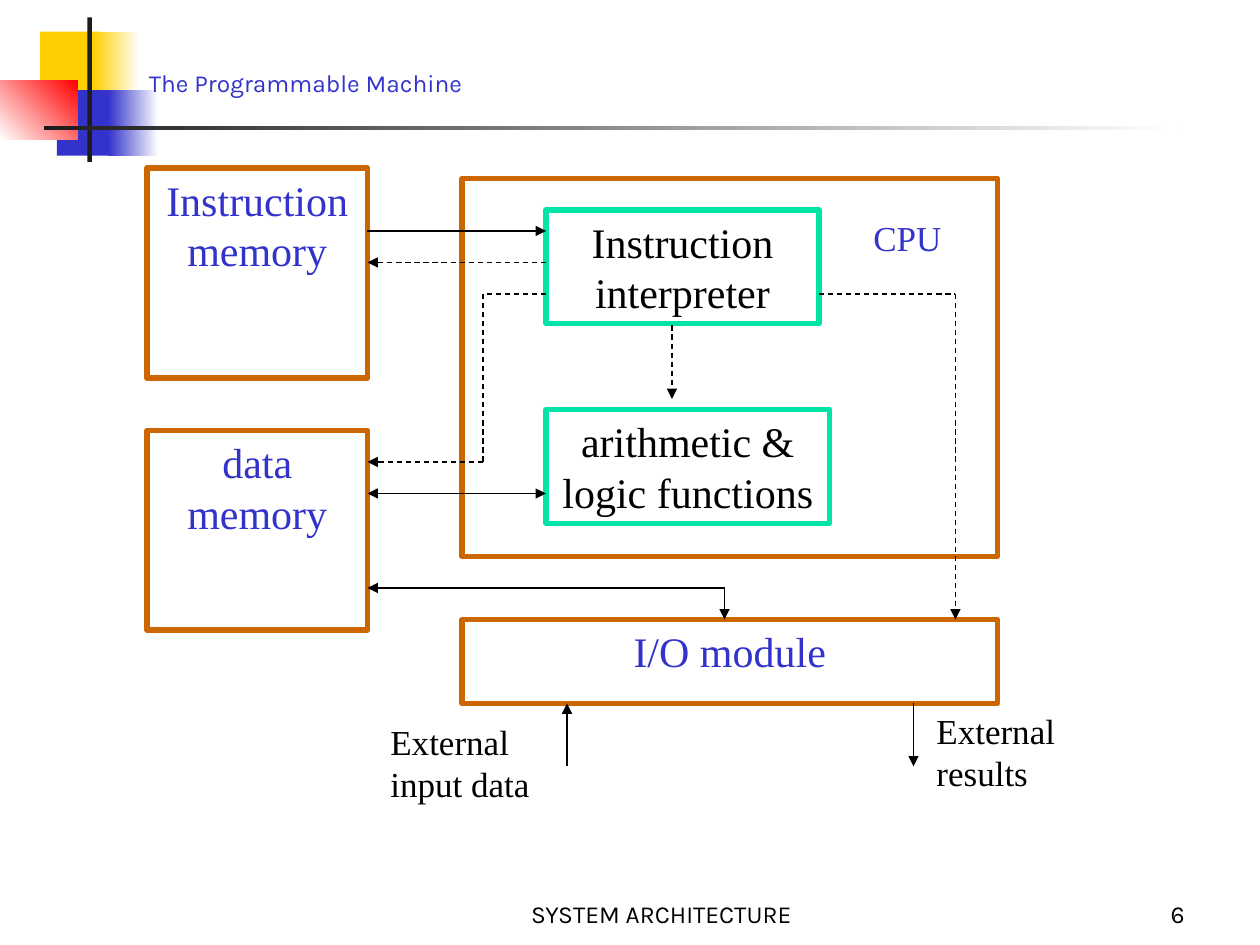
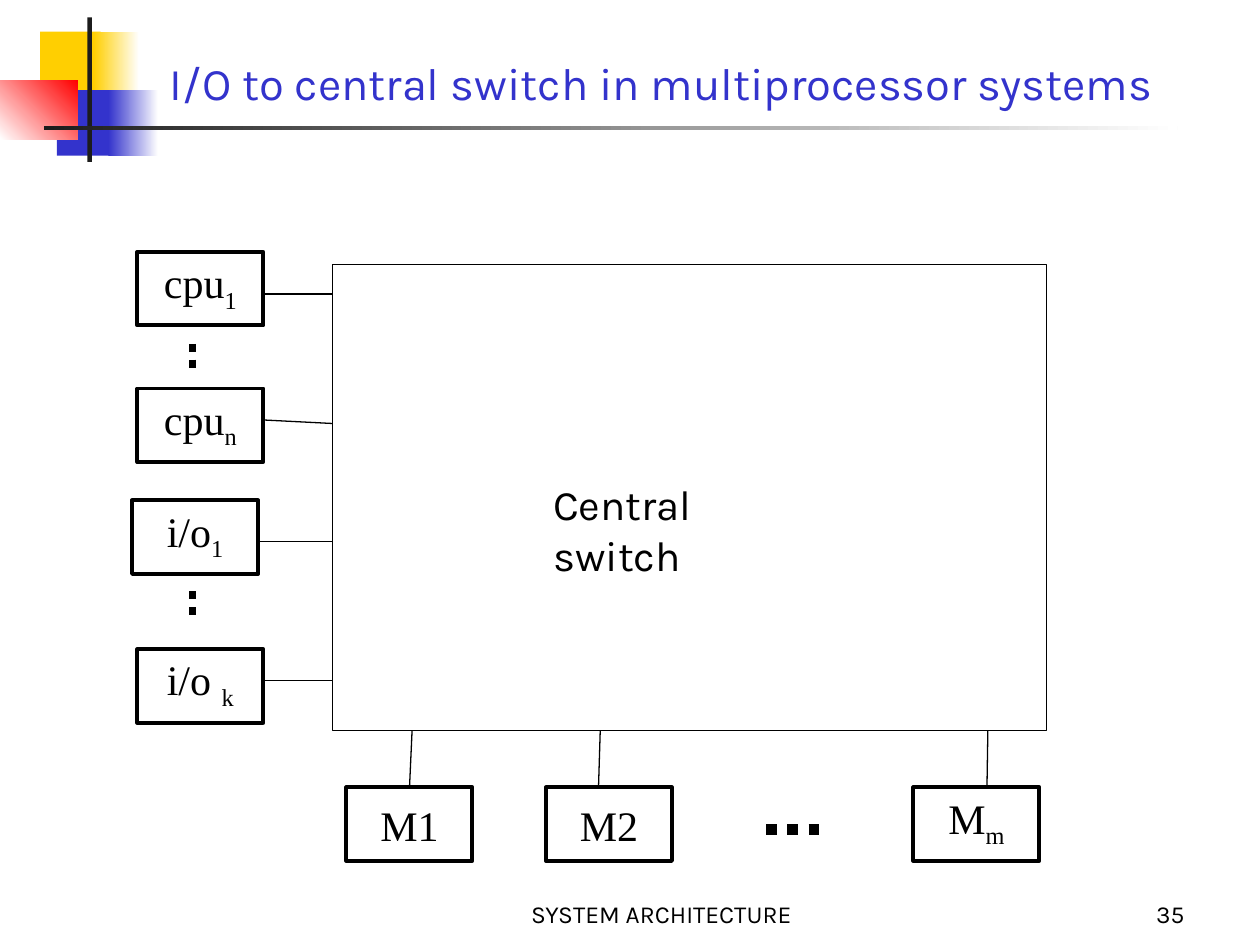
from pptx import Presentation
from pptx.dml.color import RGBColor
from pptx.enum import dml, shapes, text
from pptx.oxml import parse_xml
from pptx.oxml.ns import nsdecls, qn
from pptx.util import Pt

BLACK = RGBColor(0x00, 0x00, 0x00)
WHITE = RGBColor(0xFF, 0xFF, 0xFF)
INK = RGBColor(0x1C, 0x1C, 0x1C)
BLUE = RGBColor(0x33, 0x33, 0xCC)
GOLD = RGBColor(0xFF, 0xCF, 0x01)
RED = RGBColor(0xFF, 0x00, 0x00)
BROWN = RGBColor(0xCC, 0x66, 0x00)
MINT = RGBColor(0x00, 0xE4, 0xA8)

SANS, SERIF = "Karla", "Times New Roman"
DASH = dml.MSO_LINE.DASH
DOTS = dml.MSO_LINE.ROUND_DOT
LEFT, MID, RIGHT = text.PP_ALIGN.LEFT, text.PP_ALIGN.CENTER, text.PP_ALIGN.RIGHT
TOP, CENTER, BOTTOM = (text.MSO_ANCHOR.TOP, text.MSO_ANCHOR.MIDDLE,
                       text.MSO_ANCHOR.BOTTOM)

# Place, colours (two make a gradient) and angle of the master's ornament
DECOR = [
    ((23, 18, 34.5, 37.5), [GOLD], 0),
    ((53.5, 18, 26, 37.5), [GOLD, WHITE], 0),
    ((32.5, 51.5, 33, 37.5), [BLUE], 0),
    ((62, 51.5, 28.5, 37.5), [BLUE, WHITE], 0),
    ((0, 46, 44.5, 33.5), [WHITE, RED], 45),
    ((50, 10, 2.5, 82.5), [INK], 0),
    ((25, 72, 648, 2.25), [INK, WHITE], 0),
]


class Deck:
    def __init__(self):
        self.prs = Presentation()
        self.prs.slide_width, self.prs.slide_height = Pt(720), Pt(540)
        self.slide = None

    def start(self, number):
        """Add a slide with the ornament and the footers."""
        self.slide = self.prs.slides.add_slide(self.prs.slide_layouts[6])
        for place, colors, angle in DECOR:
            self.block(place, colors, angle)
        self.label((264, 498, 228, 36), "SYSTEM ARCHITECTURE", 14,
                   font=SANS, align=MID, anchor=BOTTOM)
        self.label((534, 498, 150, 36), str(number), 14,
                   font=SANS, align=RIGHT, anchor=BOTTOM)

    def title(self, place, words, size):
        self.label(place, words, size, BLUE, SANS, anchor=BOTTOM)

    def rect(self, place):
        shape = self.slide.shapes.add_shape(
            shapes.MSO_SHAPE.RECTANGLE, *map(Pt, place))
        shape.shadow.inherit = False
        return shape

    def block(self, place, colors, angle):
        shape = self.rect(place)
        shape.line.fill.background()
        if len(colors) == 1:
            shape.fill.solid()
            shape.fill.fore_color.rgb = colors[0]
            return
        shape.fill.gradient()
        shape.fill.gradient_angle = angle
        for stop, color in zip(shape.fill.gradient_stops, colors):
            stop.color.rgb = color

    def box(self, place, edge, width, words="", color=BLACK, anchor=TOP,
            wrap=True):
        shape = self.rect(place)
        shape.fill.background()
        shape.line.color.rgb = edge
        shape.line.width = Pt(width)
        if words:
            self.letter(shape, words, 24, color, SERIF, MID, anchor, wrap)

    def label(self, place, words, size, color=BLACK, font=SERIF, align=LEFT,
              anchor=TOP):
        shape = self.slide.shapes.add_textbox(*map(Pt, place))
        self.letter(shape, words, size, color, font, align, anchor, True)

    def letter(self, shape, words, size, color, font, align, anchor, wrap):
        """Fill the shape with text; what follows "_" is a subscript."""
        frame = shape.text_frame
        frame.word_wrap = wrap
        frame.vertical_anchor = anchor
        para = frame.paragraphs[0]
        para.alignment = align
        para.line_spacing = Pt(1.2 * size)
        for i, part in enumerate(words.split("_")):
            run = para.add_run()
            run.text = part
            run.font.size, run.font.name = Pt(size), font
            run.font.color.rgb = color
            if i:
                run._r.get_or_add_rPr().set("baseline", "-25000")

    def line(self, start, end, ends="", width=0.75, dash=None):
        """Draw a line; "<" and ">" in ends put arrowheads at start and end."""
        wire = self.slide.shapes.add_connector(
            shapes.MSO_CONNECTOR.STRAIGHT, *map(Pt, start + end))
        wire.line.color.rgb = BLACK
        wire.line.width = Pt(width)
        if dash:
            wire.line.dash_style = dash
        props = wire._element.spPr
        for mark, tag in (("<", "headEnd"), (">", "tailEnd")):
            if mark in ends:
                props.find(qn("a:ln")).append(
                    parse_xml(f'<a:{tag} {nsdecls("a")} type="triangle"/>'))
        props.append(parse_xml(f'<a:effectLst {nsdecls("a")}/>'))


def machine(deck):
    deck.start(6)
    deck.title((78, 29, 510, 30), "The Programmable Machine", 14)

    deck.box((312, 120, 156, 65), MINT, 3, "Instruction interpreter")
    deck.box((312, 234, 162, 65), MINT, 3, "arithmetic & logic functions")
    deck.label((216, 408, 102, 55.5), "External input data", 20)
    deck.label((528, 402, 90, 55.5), "External results", 20)
    deck.label((492, 120, 72, 31.5), "CPU", 20, BLUE)
    for place, words in [
        ((264, 102, 306, 216), ""),
        ((84, 96, 126, 120), "Instruction memory"),
        ((84, 246, 126, 114), "data memory"),
        ((264, 354, 306, 48), "I/O module"),
    ]:
        deck.box(place, BROWN, 3, words, BLUE)

    data = [
        ((210, 132), (312, 132), ">"),
        ((522, 402), (522, 438), ">"),
        ((324, 438), (324, 402), ">"),
        ((414, 336), (210, 336), ">"),
        ((414, 336), (414, 354), ">"),
        ((210, 282), (312, 282), "<>"),
    ]
    control = [
        ((384, 186), (384, 228), ">"),
        ((312, 150), (210, 150), ">"),
        ((312, 168), (276, 168), ""),
        ((276, 168), (276, 264), ""),
        ((276, 264), (210, 264), ">"),
        ((468, 168), (546, 168), ""),
        ((546, 168), (546, 354), ">"),
    ]
    for flows, dash in ((data, None), (control, DASH)):
        for start, end, ends in flows:
            deck.line(start, end, ends, dash=dash)


def switch(deck):
    deck.start(35)
    deck.title((90, 24, 606, 42),
               "I/O to central switch in multiprocessor systems", 25.9)

    left, top, wide, high = 190, 151, 408, 266.5
    base = top + high
    # Left and top of each unit, then the heights of its wire's two ends
    for words, x, y, out, into in [
        ("cpu_1", 78.5, 144, 168, 168),
        ("cpu_n", 78.5, 222, 240, 242),
        ("i/o_1", 75.5, 286, 309.5, 309.5),
        ("i/o _k", 78.5, 371, 389, 389),
    ]:
        deck.box((x, y, 72, 42), BLACK, 2.25, words, anchor=CENTER, wrap=False)
        deck.line((x + 72, out), (left, into))
    # Left of each memory, then the two ends of its wire
    for words, x, out, into in [
        ("M1", 198, 235.5, 234),
        ("M2", 312, 343, 342),
        ("M_m", 522, 564.5, 564),
    ]:
        deck.box((x, 450, 72, 42), BLACK, 2.25, words, anchor=CENTER,
                 wrap=False)
        deck.line((out, base), (into, 450))

    deck.line((438, 474), (468, 474), width=6, dash=DOTS)
    for y in (196.5, 338):
        deck.line((110, y), (110, y + 17), width=4.5, dash=DOTS)
    deck.box((left, top, wide, high), BLACK, 0.75)
    deck.label((309, 270, 164, 65), "Central switch", 24, font=SANS)


def main():
    deck = Deck()
    machine(deck)
    switch(deck)
    deck.prs.save("out.pptx")


if __name__ == "__main__":
    main()
